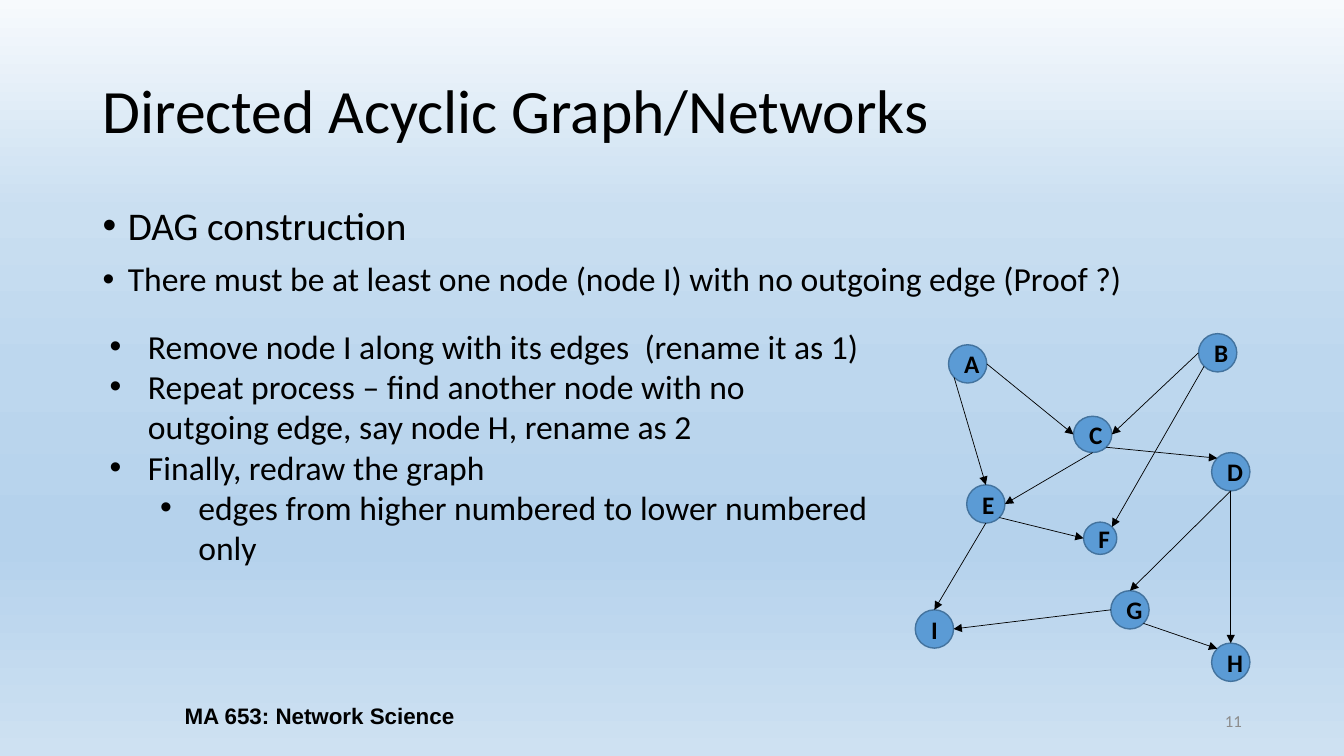
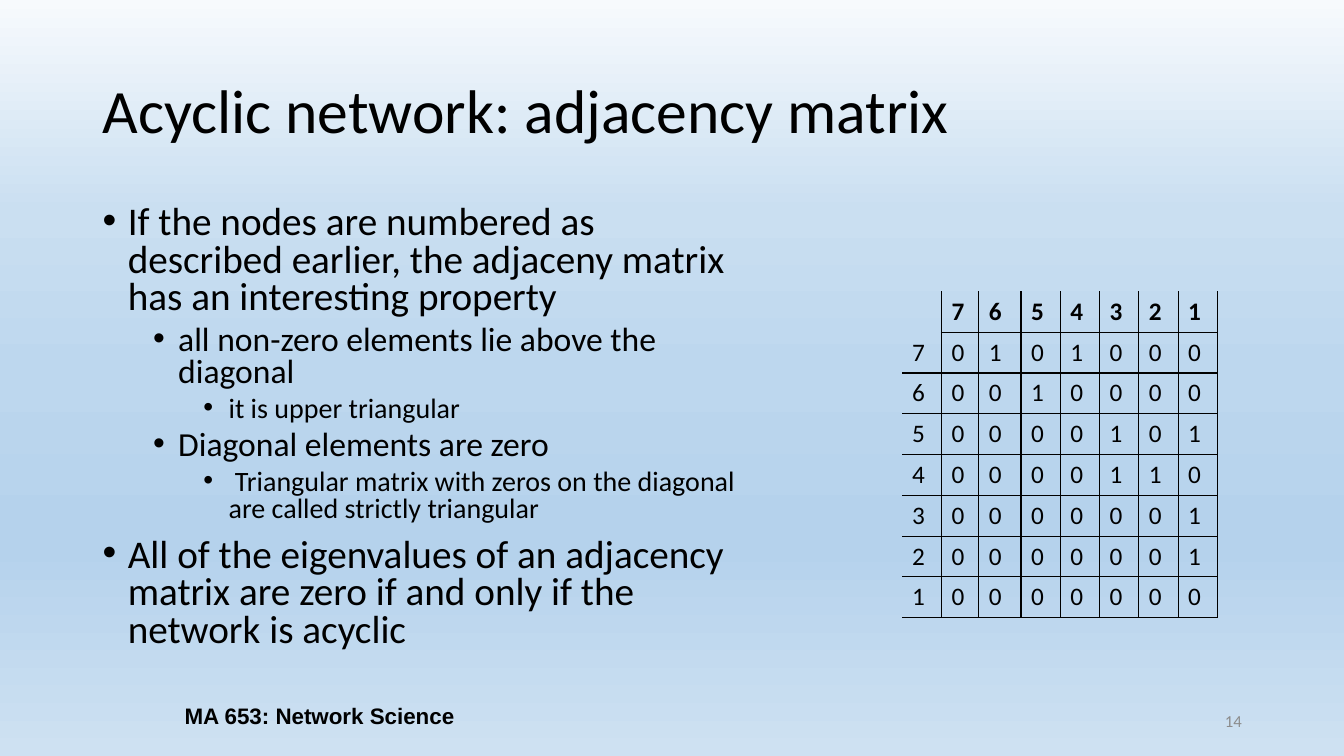
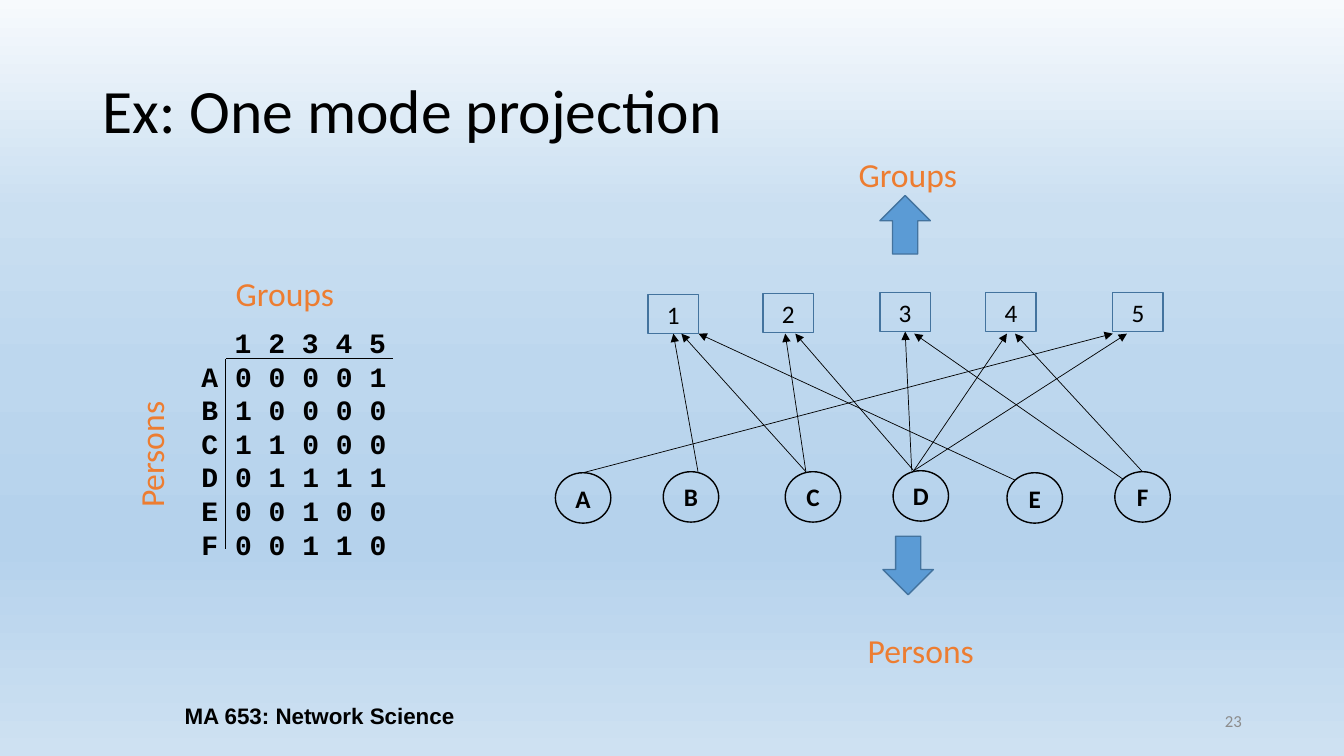
"""Build three network science slides: DAG construction, adjacency matrix and projection."""
import math
from dataclasses import dataclass, replace

from lxml import etree
from pptx import Presentation
from pptx import util as u
from pptx.dml.color import RGBColor
from pptx.enum import shapes, text
from pptx.oxml.ns import qn

BLACK, GREY, ORANGE = "000000", "8C8C8C", "ED7D31"
BLUE, BLUE_EDGE = "5B9BD5", "43739E"
BACKGROUND = [(0, "F7FAFD"), (28, "CADFF1"), (49, "BDD7EE"), (71, "B5D2EC"), (72, "B5D2EC"), (100, "CEE1F2")]
PLAIN_TABLE = "{2D5ABB26-0587-4C30-8999-92F81FD0307C}"
COMPASS = {"e": 0, "se": 45, "s": 90, "sw": 135, "w": 180, "nw": 225, "n": 270, "ne": 315}
SHAPE, ALIGN, ANCHOR = shapes.MSO_SHAPE, text.PP_ALIGN, text.MSO_ANCHOR


@dataclass(frozen=True)
class Style:
    size: float
    font: str = "Calibri"
    color: str = BLACK
    bold: bool = False


@dataclass(frozen=True)
class Line:
    words: str
    style: Style
    align: ALIGN = ALIGN.LEFT
    margin: float = 0
    hanging: float = 0
    spacing: float = 1
    before: float = 0


@dataclass(frozen=True)
class Box:
    left: float
    top: float
    width: float
    height: float

    def inches(self) -> tuple:
        return tuple(u.Inches(v) for v in (self.left, self.top, self.width, self.height))

    def point(self, side: str) -> tuple[float, float]:
        angle = math.radians(COMPASS[side])
        return (self.left + self.width / 2 * (1 + math.cos(angle)),
                self.top + self.height / 2 * (1 + math.sin(angle)))


@dataclass(frozen=True)
class Membership:
    person: str
    side: str
    start_shift: float
    group: str
    end_shift: float


TITLE = Style(44)
NODE = Style(18, bold=True)
CELL = Style(18)
LABEL = Style(24, color=ORANGE)
MATRIX = Style(20, "Courier New", bold=True)

DAG_NODES = {
    "A": Box(9.41, 3.42, 0.38, 0.38), "C": Box(10.65, 4.13, 0.38, 0.36), "B": Box(11.89, 3.31, 0.38, 0.38),
    "E": Box(9.59, 4.81, 0.38, 0.38), "D": Box(12.02, 4.49, 0.38, 0.38), "F": Box(10.75, 5.18, 0.33, 0.32),
    "I": Box(9.08, 6.05, 0.38, 0.38), "G": Box(11.02, 5.86, 0.38, 0.38), "H": Box(12.02, 6.38, 0.38, 0.38),
}
DAG_EDGES = [
    ("A", "sw", "E", "n"), ("E", "s", "I", "n"), ("A", "e", "C", "w"), ("B", "w", "C", "e"),
    ("C", "s", "E", "e"), ("C", "se", "D", "nw"), ("E", "se", "F", "w"), ("B", "sw", "F", "ne"),
    ("G", "w", "I", "e"), ("D", "s", "G", "n"), ("D", "s", "H", "n"), ("G", "se", "H", "nw"),
]
ADJACENCY = ["0101000", "0010000", "0000101", "0000110", "0000001", "0000001", "0000000"]
COLUMN_WIDTHS = [0.39, 0.37, 0.42] + [0.39] * 5

INCIDENCE = {"A": "00001", "B": "10000", "C": "11000", "D": "01111", "E": "00100", "F": "00110"}
PERSONS = {name: Box(left, top, 0.55, 0.5) for name, left, top in [
    ("A", 5.51, 4.69), ("B", 6.58, 4.68), ("C", 7.79, 4.68), ("D", 8.86, 4.67), ("E", 9.99, 4.69), ("F", 11.06, 4.68)]}
GROUPS = {name: Box(left, top, 0.5, 0.39) for name, left, top in [
    ("1", 6.43, 2.92), ("2", 7.57, 2.91), ("3", 8.73, 2.9), ("4", 9.78, 2.9), ("5", 11.04, 2.9)]}
MEMBERSHIPS = [
    Membership("A", "n", 0, "5", -0.25), Membership("B", "n", 0.07, "1", 0),
    Membership("C", "n", -0.07, "1", 0.08), Membership("C", "n", -0.07, "2", -0.03),
    Membership("D", "n", -0.07, "2", 0.07), Membership("D", "n", -0.09, "3", 0),
    Membership("D", "n", -0.07, "4", -0.04), Membership("D", "n", -0.07, "5", -0.11),
    Membership("E", "nw", 0, "1", 0.25), Membership("F", "nw", 0, "3", 0.09),
    Membership("F", "n", 0, "4", 0.04),
]


def rgb(color: str) -> RGBColor:
    return RGBColor.from_string(color)


def add_child(parent, tag: str, **attributes: str):
    return etree.SubElement(parent, qn(tag), attributes)


def write(frame, lines: list[Line]) -> None:
    for index, line in enumerate(lines):
        para = frame.paragraphs[0] if index == 0 else frame.add_paragraph()
        para.alignment, para.line_spacing = line.align, line.spacing
        para.space_before = u.Pt(line.before)
        properties = para._p.get_or_add_pPr()
        properties.set("marL", str(u.Inches(line.margin)))
        if line.hanging:
            properties.set("indent", str(-u.Inches(line.hanging)))
            add_child(properties, "a:buFont", typeface="Arial")
            add_child(properties, "a:buChar", char="•")
        span = para.add_run()
        span.text = line.words
        span.font.name, span.font.size = line.style.font, u.Pt(line.style.size)
        span.font.bold, span.font.color.rgb = line.style.bold, rgb(line.style.color)


def add_text(page, place: Box, lines: list[Line], anchor: ANCHOR = ANCHOR.TOP, wrap: bool = True):
    box = page.shapes.add_textbox(*place.inches())
    frame = box.text_frame
    frame.word_wrap, frame.vertical_anchor = wrap, anchor
    if not wrap:
        frame.auto_size = text.MSO_AUTO_SIZE.SHAPE_TO_FIT_TEXT
    write(frame, lines)
    return box


def add_block(page, kind: SHAPE, place: Box, edge: str, fill: str = "", words: str = "", style: Style = NODE):
    block = page.shapes.add_shape(kind, *place.inches())
    block.shadow.inherit = False
    block.line.color.rgb, block.line.width = rgb(edge), u.Pt(1)
    if fill:
        block.fill.solid()
        block.fill.fore_color.rgb = rgb(fill)
    else:
        block.fill.background()
    if words:
        write(block.text_frame, [Line(words, style, ALIGN.CENTER)])
    return block


def add_line(page, start: tuple[float, float], end: tuple[float, float], width: float = 0.5, arrow: bool = True):
    line = page.shapes.add_connector(shapes.MSO_CONNECTOR.STRAIGHT, *(u.Inches(v) for v in start + end))
    line.line.color.rgb, line.line.width = rgb(BLACK), u.Pt(width)
    if arrow:
        add_child(line.line._get_or_add_ln(), "a:tailEnd", type="triangle")
    add_child(line._element.spPr, "a:effectLst")
    return line


def set_background(master) -> None:
    fill = master.background.fill
    fill.gradient()
    fill.gradient_angle = 270
    stops = master.element.cSld.find(".//" + qn("a:gsLst"))
    for stop in list(stops):
        stops.remove(stop)
    for percent, color in BACKGROUND:
        add_child(add_child(stops, "a:gs", pos=str(percent * 1000)), "a:srgbClr", val=color)


def add_page(deck, title: str, number: int):
    page = deck.slides.add_slide(deck.slide_layouts[6])
    footer, page_number = Style(16, "Arial", bold=True), Style(12, color=GREY)
    add_text(page, Box(0.92, 0.4, 11.5, 1.45), [Line(title, TITLE, spacing=0.9)], ANCHOR.MIDDLE)
    add_text(page, Box(9.42, 6.95, 3, 0.4), [Line(str(number), page_number, ALIGN.RIGHT)], ANCHOR.MIDDLE)
    add_text(page, Box(0.92, 6.9, 4.5, 0.4), [Line("MA 653: Network Science", footer, ALIGN.CENTER)], ANCHOR.MIDDLE)
    return page


def add_dag_page(deck) -> None:
    page = add_page(deck, "Directed Acyclic Graph/Networks", 11)
    point = Line("DAG construction", Style(28), margin=0.25, hanging=0.25, spacing=0.9, before=10)
    add_text(page, Box(0.92, 2, 11.5, 4.76), [point, replace(
        point, words="There must be at least one node (node I) with no outgoing edge (Proof ?)", style=Style(24))])
    steps = [
        ("Remove node I along with its edges  (rename it as 1)", 0.88),
        ("Repeat process – find another node with no outgoing edge, say node H, rename as 2", 0.88),
        ("Finally, redraw the graph", 0.88),
        ("edges from higher numbered to lower numbered only", 1.38),
    ]
    add_text(page, Box(0.49, 3.18, 8.23, 2.52),
             [Line(words, Style(24), margin=margin, hanging=0.38) for words, margin in steps])
    for name, place in DAG_NODES.items():
        add_block(page, SHAPE.OVAL, place, BLUE_EDGE, BLUE, name)
    for source, start, target, end in DAG_EDGES:
        add_line(page, DAG_NODES[source].point(start), DAG_NODES[target].point(end))


def draw_borders(cell, sides: str) -> None:
    properties = cell._tc.get_or_add_tcPr()
    for index, side in enumerate(sides):
        border = etree.Element(qn("a:ln" + side), {"w": str(u.Pt(1))})
        add_child(add_child(border, "a:solidFill"), "a:srgbClr", val=BLACK)
        properties.insert(index, border)


def add_adjacency_table(page) -> None:
    names = "7654321"
    rows = [" " + names] + [name + values for name, values in zip(names, ADJACENCY)]
    place = Box(8.95, 2.89, sum(COLUMN_WIDTHS), 3.24)
    table = page.shapes.add_table(len(rows), len(COLUMN_WIDTHS), *place.inches()).table
    table.first_row = table.horz_banding = False
    table._tbl.tblPr.find(qn("a:tableStyleId")).text = PLAIN_TABLE
    for column, width in zip(table.columns, COLUMN_WIDTHS):
        column.width = u.Inches(width)
    for row, values in enumerate(rows):
        for column, value in enumerate(values):
            cell = table.cell(row, column)
            cell.fill.background()
            if value.strip():
                write(cell.text_frame, [Line(value, NODE if row == 0 else CELL)])
            left = "L" if column else ""
            top = "T" if row > 1 or (row and column) else ""
            bottom = "B" if row or column else ""
            draw_borders(cell, left + "R" + top + bottom)


def add_adjacency_page(deck) -> None:
    page = add_page(deck, "Acyclic network: adjacency matrix", 14)
    points = [
        (0, "If the nodes are numbered as described earlier, the adjaceny matrix has an interesting property"),
        (1, "all non-zero elements lie above the diagonal"),
        (2, "it is upper triangular"),
        (1, "Diagonal elements are zero"),
        (2, " Triangular matrix with zeros on the diagonal are called strictly triangular"),
        (0, "All of the eigenvalues of an adjacency matrix are zero if and only if the network is acyclic"),
    ]
    add_text(page, Box(0.92, 1.99, 6.64, 4.76), [
        Line(words, Style(28 - 4 * level), margin=0.25 + 0.5 * level, hanging=0.25, spacing=0.8,
             before=5 if level else 10) for level, words in points])
    add_adjacency_table(page)


def add_projection_page(deck) -> None:
    page = add_page(deck, "Ex: One mode projection", 23)
    rows = [Line(" ".join(GROUPS), MATRIX, margin=0.33)]
    rows += [Line(" ".join(name + values), MATRIX) for name, values in INCIDENCE.items()]
    add_text(page, Box(1.9, 3.18, 2.3, 2.43), rows)
    for end in [(3.9, 3.56), (2.24, 5.45)]:
        add_line(page, (2.24, 3.56), end, 0.75, arrow=False)
    for name, place in PERSONS.items():
        add_block(page, SHAPE.OVAL, place, BLACK, words=name)
    boxes = {name: add_block(page, SHAPE.RECTANGLE, place, BLUE_EDGE, words=name, style=CELL)
             for name, place in GROUPS.items()}
    for link in MEMBERSHIPS:
        start_x, start_y = PERSONS[link.person].point(link.side)
        end_x, _ = GROUPS[link.group].point("s")
        arrow = add_line(page, (start_x + link.start_shift, start_y), (end_x + link.end_shift, 3.31))
        if link.end_shift == 0:
            arrow.end_connect(boxes[link.group], 2)
    for place, rotation in [(Box(8.73, 1.94, 0.5, 0.58), 0), (Box(8.76, 5.32, 0.5, 0.58), 180)]:
        add_block(page, SHAPE.UP_ARROW, place, BLUE_EDGE, BLUE).rotation = rotation
    for words, place, rotation in [
        ("Persons", Box(0.86, 4.25, 1.27, 0.5), 270), ("Groups", Box(2.24, 2.66, 1.19, 0.5), 0),
        ("Persons", Box(8.51, 6.2, 1.27, 0.5), 0), ("Groups", Box(8.42, 1.48, 1.19, 0.5), 0),
    ]:
        add_text(page, place, [Line(words, LABEL)], wrap=False).rotation = rotation


def main() -> None:
    deck = Presentation()
    deck.slide_width, deck.slide_height = u.Inches(40 / 3), u.Inches(7.5)
    set_background(deck.slide_master)
    add_dag_page(deck)
    add_adjacency_page(deck)
    add_projection_page(deck)
    deck.save("out.pptx")


if __name__ == "__main__":
    main()
